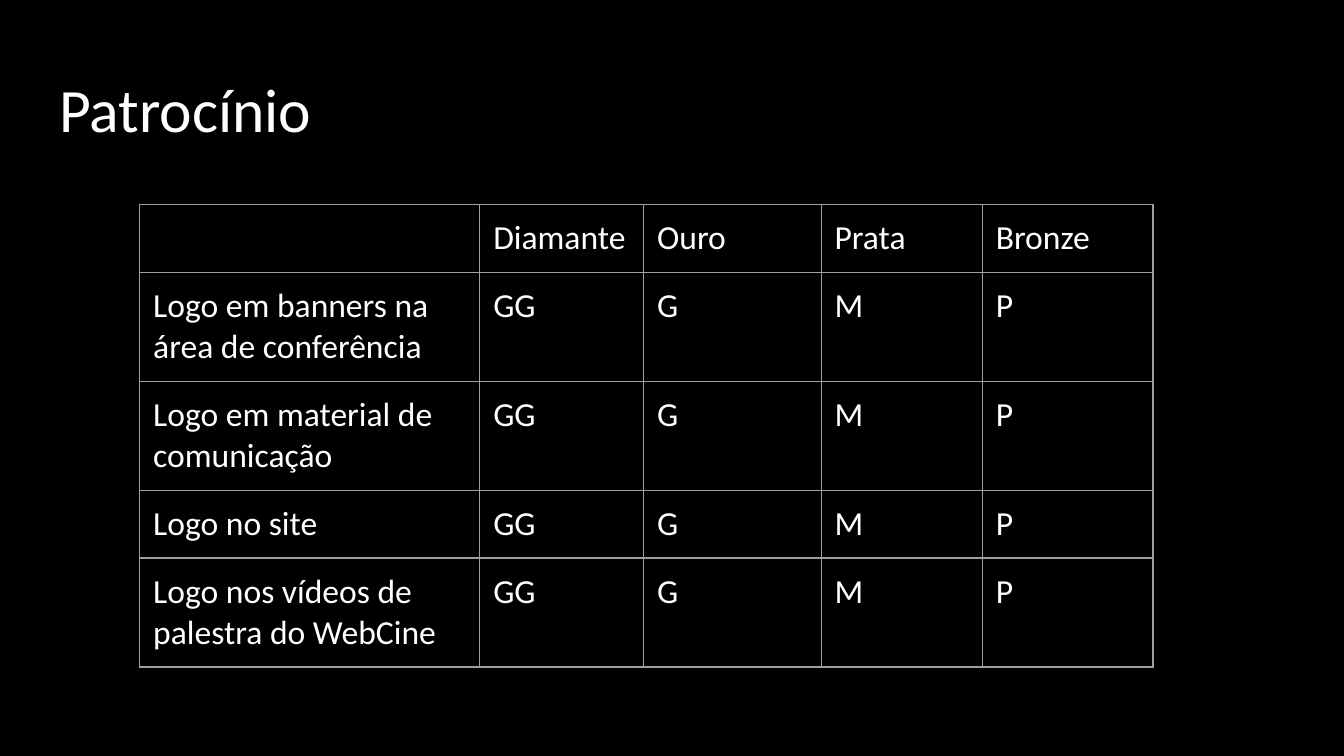
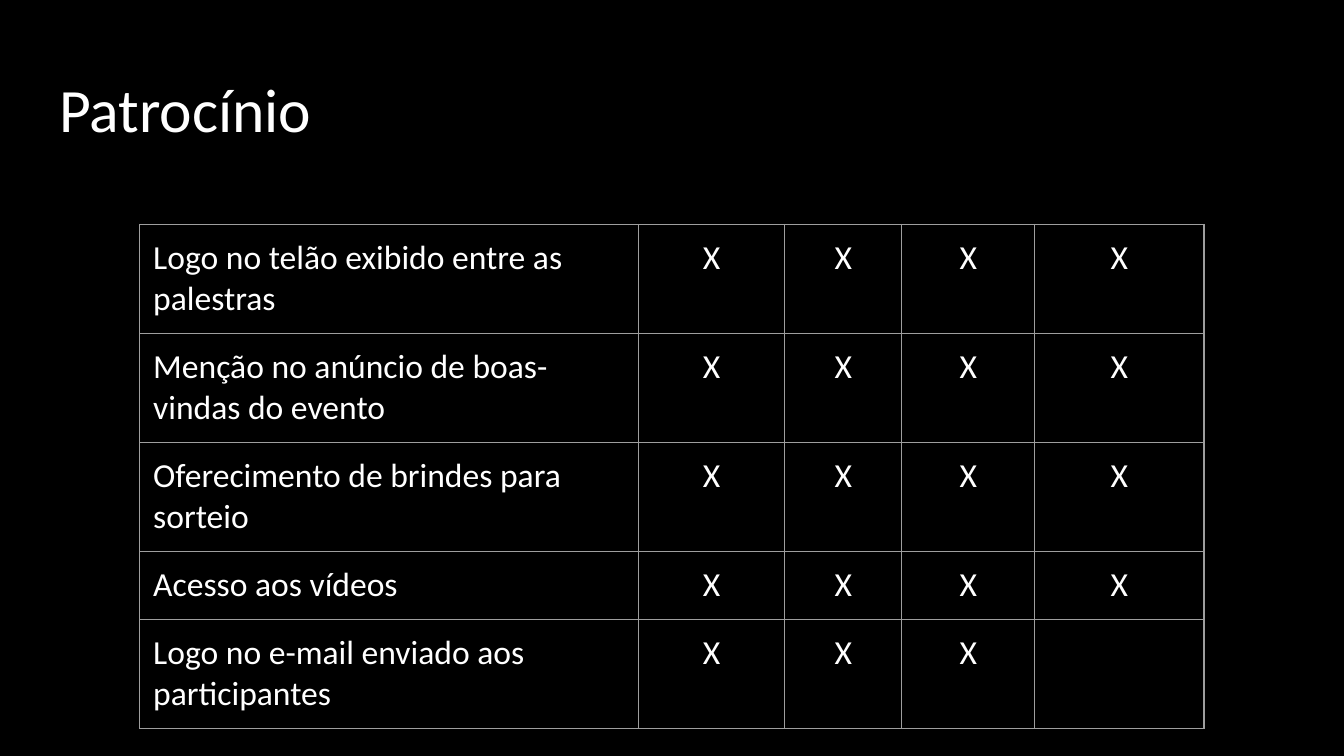
from dataclasses import dataclass

from lxml import etree
from pptx import Presentation
from pptx.dml.color import RGBColor
from pptx.enum.text import MSO_ANCHOR, PP_ALIGN
from pptx.oxml.ns import qn
from pptx.util import Inches, Pt

LEFT, CENTER = PP_ALIGN.LEFT, PP_ALIGN.CENTER
TOP = MSO_ANCHOR.TOP
TITLE_ONLY = 5


@dataclass(frozen=True)
class Theme:
    background: str = "000000"
    text: str = "FFFFFF"
    border: str = "9E9E9E"
    font: str = "Calibri"
    title_size: int = 33
    table_size: int = 18
    border_width: float = 0.75
    inset: float = 0.1


class Deck:
    def __init__(self, theme):
        self.theme = theme
        self.prs = Presentation()
        # Widescreen, 16:9
        self.prs.slide_width = Inches(10)
        self.prs.slide_height = Inches(10 * 9 / 16)
        self.s = None

    def slide(self, title):
        self.s = self.prs.slides.add_slide(self.prs.slide_layouts[TITLE_ONLY])
        fill = self.s.background.fill
        fill.solid()
        fill.fore_color.rgb = RGBColor.from_string(self.theme.background)
        self.title(title)

    def title(self, text):
        sp = self.s.shapes.title
        sp.left, sp.top = Inches(0.34), Inches(0.49)
        sp.width, sp.height = Inches(9.32), Inches(0.63)
        tf = sp.text_frame
        tf.text = text
        tf.word_wrap = True
        tf.vertical_anchor = TOP
        self.insets(tf)
        p = tf.paragraphs[0]
        p.line_spacing = 0.9
        self.style(p, self.theme.title_size, LEFT)

    def insets(self, box):
        inset = Inches(self.theme.inset)
        box.margin_left = box.margin_right = inset
        box.margin_top = box.margin_bottom = inset

    def style(self, p, size, align):
        p.alignment = align
        for font in [p.font] + [r.font for r in p.runs]:
            font.name = self.theme.font
            font.size = Pt(size)
            font.color.rgb = RGBColor.from_string(self.theme.text)

    def borders(self, cell):
        tc_pr = cell._tc.get_or_add_tcPr()
        for side in ("lnL", "lnR", "lnT", "lnB"):
            ln = etree.SubElement(tc_pr, qn(f"a:{side}"),
                                  w=str(Pt(self.theme.border_width)))
            fill = etree.SubElement(ln, qn("a:solidFill"))
            etree.SubElement(fill, qn("a:srgbClr"), val=self.theme.border)

    def table(self, top, widths, row_height, rows, value_align):
        frame = self.s.shapes.add_table(
            len(rows), len(widths), Inches(1.04), Inches(top),
            Inches(sum(widths)), Inches(row_height * len(rows)))
        table = frame.table
        table.first_row = table.horz_banding = False
        for column, width in zip(table.columns, widths):
            column.width = Inches(width)
        for i, row in enumerate(rows):
            for j, text in enumerate(row):
                cell = table.cell(i, j)
                cell.text = text
                self.insets(cell)
                self.borders(cell)
                cell.fill.background()
                self.style(cell.text_frame.paragraphs[0],
                           self.theme.table_size, value_align if j else LEFT)


def main():
    deck = Deck(Theme())

    # Logo sizes by sponsorship level
    logo_places = ["Logo em banners na área de conferência",
                   "Logo em material de comunicação",
                   "Logo no site",
                   "Logo nos vídeos de palestra do WebCine"]
    levels = ["", "Diamante", "Ouro", "Prata", "Bronze"]
    sizes = ["GG", "G", "M", "P"]
    deck.slide("Patrocínio")
    deck.table(1.52, [2.53, 1.22, 1.32, 1.2, 1.27], 0.28,
               [levels] + [[place] + sizes for place in logo_places], LEFT)

    # Benefits and the number of levels that include each one
    benefits = {"Logo no telão exibido entre as palestras": 4,
                "Menção no anúncio de boas-vindas do evento": 4,
                "Oferecimento de brindes para sorteio": 4,
                "Acesso aos vídeos": 4,
                "Logo no e-mail enviado aos participantes": 3}
    deck.slide("Patrocínio")
    deck.table(1.67, [3.71, 1.09, 0.87, 0.99, 1.26], 0.42,
               [[name] + ["X"] * n + [""] * (4 - n)
                for name, n in benefits.items()], CENTER)

    deck.prs.save("out.pptx")


if __name__ == "__main__":
    main()
